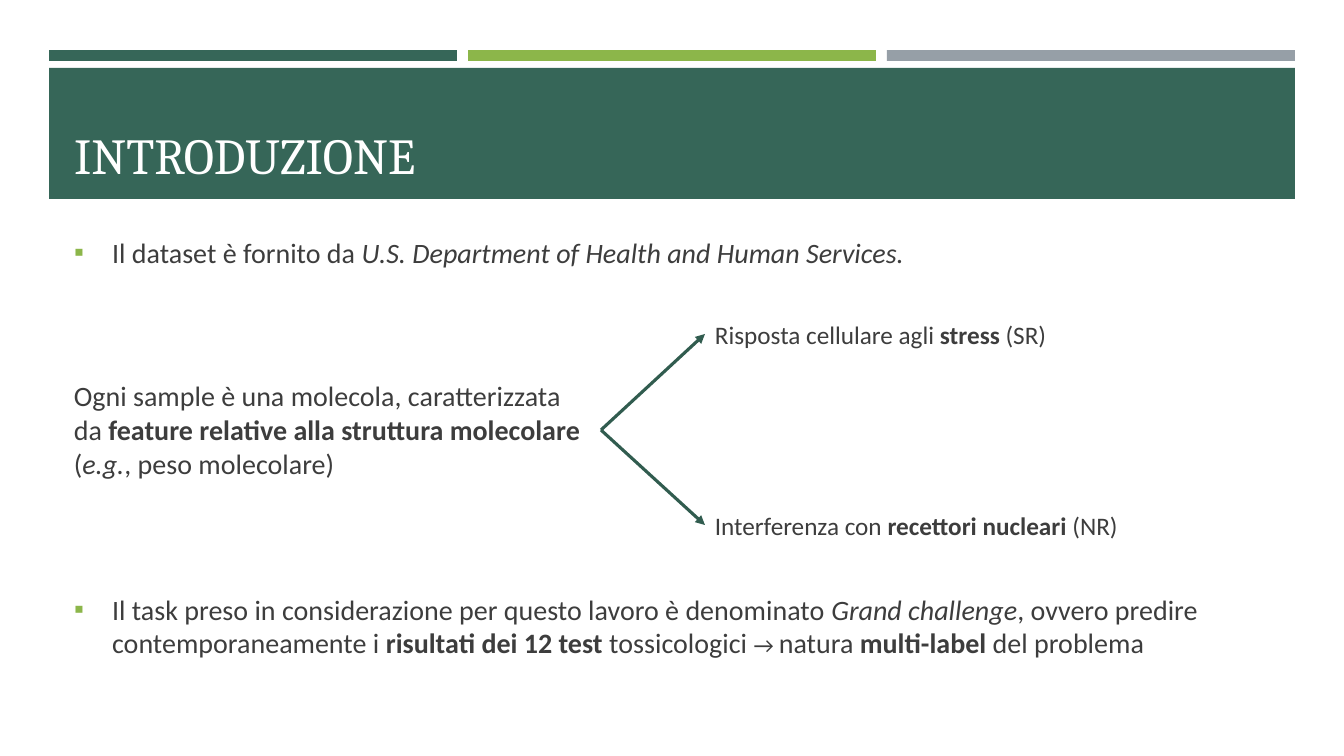
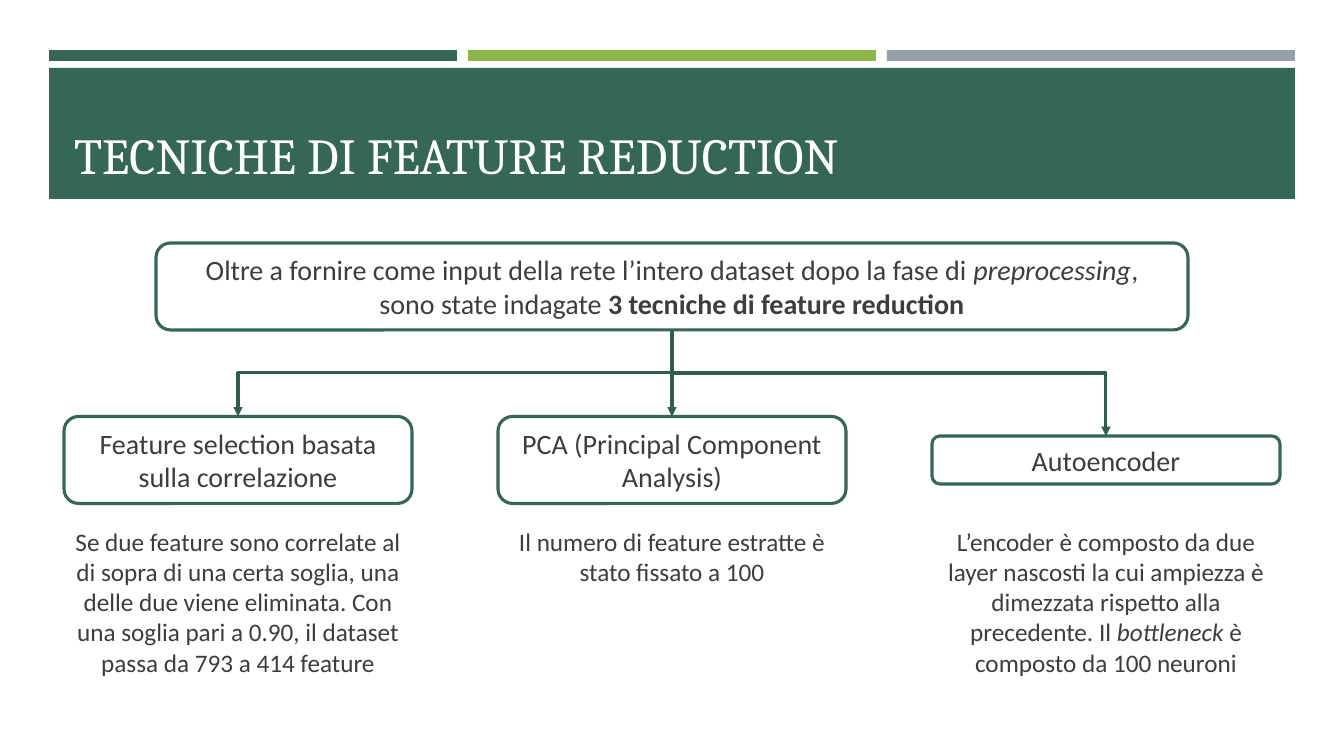
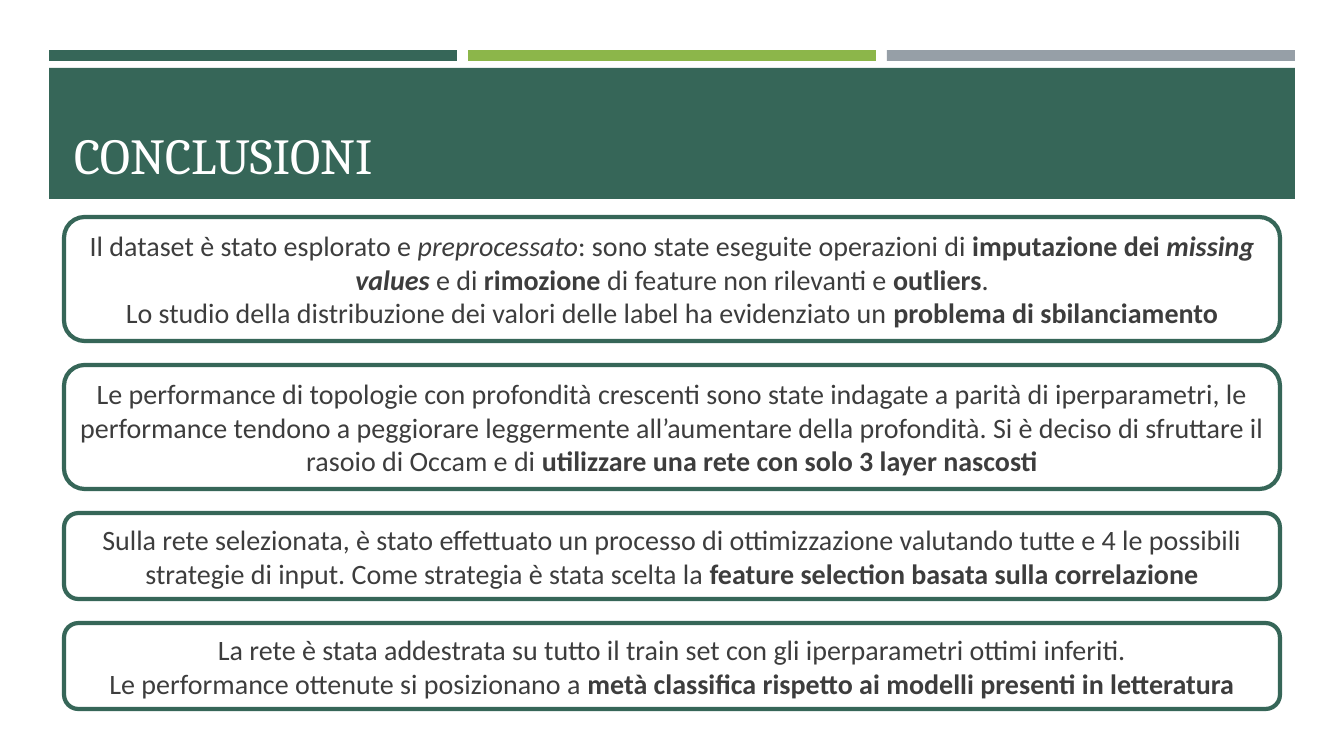
"""Build three slides on toxicity prediction: introduction, feature reduction, conclusions."""
from lxml.etree import SubElement
from pptx import Presentation
from pptx.dml.color import RGBColor
from pptx.enum.shapes import MSO_CONNECTOR as Link, MSO_SHAPE as Form
from pptx.enum.text import MSO_ANCHOR as Anchor, MSO_AUTO_SIZE as Fit, PP_ALIGN as Align
from pptx.oxml.ns import qn
from pptx.util import Pt

SCALE = 914400 / 100.8
COLORS = {"green": "366658", "lime": "8CB64A", "grey": "969FA7",
          "arrow": "315C4F", "text": "3D3D3D", "white": "FFFFFF"}
BODY_FONT, TITLE_FONT = "Calibri", "Cambria"
LEFT, WIDTH = 64, 1216
TOP, BOTTOM, WEST, EAST = 0, 2, 1, 3

TITLES = ["INTRODUZIONE", "TECNICHE DI FEATURE REDUCTION", "CONCLUSIONI"]

POINTS = [
    (230, 44, [["Il dataset è fornito da ",
                ("U.S. Department of Health and Human Services.", "i")]]),
    (587, 78, [["Il task preso in considerazione per questo lavoro è denominato ",
                ("Grand challenge", "i"), ", ovvero predire contemporaneamente i ",
                ("risultati dei 12 test", "b"), " tossicologici ", ("→ ", "", 16),
                "natura ", ("multi-label", "b"), " del problema"]]),
]
SAMPLE = [["Ogni sample è una molecola, caratterizzata da ",
           ("feature relative alla struttura molecolare ", "b"),
           "(", ("e.g.", "i"), ", peso molecolare)"]]
TESTS = [
    (314, [["Risposta cellulare agli ", ("stress", "b"), " (SR)"]]),
    (505, [["Interferenza con ", ("recettori nucleari", "b"), " (NR)"]]),
]

PREMISE = [["Oltre a fornire come input della rete l’intero dataset dopo la fase di ",
            ("preprocessing", "i"), ","],
           ["sono state indagate ", ("3 tecniche di feature reduction", "b")]]
TECHNIQUES = [
    ("Feature selection basata sulla correlazione", 87, 163,
     ["Se due feature sono correlate al di sopra di una certa soglia, una delle due viene "
      "eliminata. Con una soglia pari a 0.90, il dataset passa da 793 a 414 feature"]),
    ("PCA (Principal Component Analysis)", 87, 72,
     ["Il numero di feature estratte è stato fissato a 100"]),
    ("Autoencoder", 48, 163,
     ["L’encoder è composto da due layer nascosti la cui ampiezza è dimezzata rispetto "
      "alla precedente. Il ", ("bottleneck", "i"), " è composto da 100 neuroni"]),
]

CONCLUSIONS = [
    (124, [["Il dataset è stato esplorato e ", ("preprocessato", "i"),
            ": sono state eseguite operazioni di ", ("imputazione dei ", "b"),
            ("missing values", "bi"), " e di ", ("rimozione", "b"),
            " di feature non rilevanti e ", ("outliers", "b"), "."],
           ["Lo studio della distribuzione dei valori delle label ha evidenziato un ",
            ("problema di sbilanciamento", "b")]]),
    (124, [["Le performance di topologie con profondità crescenti sono state indagate a parità "
            "di iperparametri, le performance tendono a peggiorare leggermente all’aumentare "
            "della profondità. Si è deciso di sfruttare il rasoio di Occam e di ",
            ("utilizzare una rete con solo 3 layer nascosti", "b")]]),
    (86, [["Sulla rete selezionata, è stato effettuato un processo di ottimizzazione valutando "
           "tutte e 4 le possibili strategie di input. Come strategia è stata scelta la ",
           ("feature selection basata sulla correlazione", "b")]]),
    (86, [["La rete è stata addestrata su tutto il train set con gli iperparametri ottimi "
           "inferiti."],
          ["Le performance ottenute si posizionano a ",
           ("metà classifica rispetto ai modelli presenti in letteratura", "b")]]),
]


def px(length):
    return round(length * SCALE)


def rgb(name):
    return RGBColor.from_string(COLORS[name])


def place(part, left, top, width, height):
    part.left, part.top, part.width, part.height = map(px, (left, top, width, height))


def write(part, paragraphs, size=20, font=BODY_FONT, color="text",
          align=Align.LEFT, anchor=Anchor.TOP, bullet=None):
    frame = part.text_frame
    frame.word_wrap, frame.auto_size, frame.vertical_anchor = True, Fit.NONE, anchor
    for index, pieces in enumerate(paragraphs):
        line = frame.add_paragraph() if index else frame.paragraphs[0]
        line.alignment, line.space_before = align, Pt(0)
        if bullet:
            props = line._p.get_or_add_pPr()
            props.set("marL", str(px(38)))
            props.set("indent", str(px(-38)))
            tint = SubElement(props, qn("a:buClr"))
            SubElement(tint, qn("a:srgbClr")).set("val", COLORS["lime"])
            SubElement(props, qn("a:buChar")).set("char", bullet)
        for piece in pieces:
            words, style, own_size = ((piece,) if isinstance(piece, str) else piece) \
                + ("", size)[-(3 - (1 if isinstance(piece, str) else len(piece))) or 2:]
            run = line.add_run()
            run.text = words
            run.font.name, run.font.size = font, Pt(own_size)
            run.font.color.rgb = rgb(color)
            run.font.bold, run.font.italic = "b" in style, "i" in style


def label(slide, box, paragraphs, **style):
    part = slide.shapes.add_textbox(*map(px, box))
    write(part, paragraphs, **style)
    return part


def panel(slide, form, box, fill=None, border=None, weight=2.25):
    part = slide.shapes.add_shape(form, *map(px, box))
    part.shadow.inherit = False
    if fill:
        part.fill.solid()
        part.fill.fore_color.rgb = rgb(fill)
    else:
        part.fill.background()
    if border:
        part.line.color.rgb = rgb(border)
        part.line.width = Pt(weight)
    else:
        part.line.fill.background()
    return part


def card(slide, box, paragraphs, fill=None, weight=2.25):
    part = panel(slide, Form.ROUNDED_RECTANGLE, box, fill, "green", weight)
    write(part, paragraphs, align=Align.CENTER, anchor=Anchor.MIDDLE)
    return part


def arrow(slide, source, source_side, target, target_side, kind=Link.STRAIGHT):
    link = slide.shapes.add_connector(kind, 0, 0, 0, 0)
    link.begin_connect(source, source_side)
    link.end_connect(target, target_side)
    link.line.color.rgb = rgb("arrow")
    link.line.width = Pt(2.25)
    props = link._element.spPr
    SubElement(props.find(qn("a:ln")), qn("a:tailEnd")).set("type", "triangle")
    SubElement(props, qn("a:effectLst"))
    return link


def branch(slide, source, target, drop):
    link = arrow(slide, source, BOTTOM, target, TOP, Link.ELBOW)
    start_x, start_y, end_x, end_y = link.begin_x, link.begin_y, link.end_x, link.end_y
    across, down = abs(end_x - start_x), end_y - start_y
    link.left = (start_x + end_x - down) // 2
    link.top = (start_y + end_y - across) // 2
    link.width, link.height = down, across
    props = link._element.spPr
    rightward = end_x > start_x
    props.xfrm.rot = 270.0 if rightward else 90.0
    props.xfrm.flipH, props.xfrm.flipV = rightward, False
    props.prstGeom.rewrite_guides([("adj1", round(px(drop) / down * 100000))])


def add_bands(deck, slide):
    bands = [panel(slide, Form.RECTANGLE, (49 + 419 * index, 50, 408, 11), color)
             for index, color in enumerate(("green", "lime", "grey"))]
    bands.append(panel(slide, Form.RECTANGLE, (49, 68, 1246, 131), "green"))
    tree = deck.slide_master.shapes.element
    for offset, band in enumerate(bands):
        tree.insert(2 + offset, band.element)


def add_slide(deck, layout, title):
    slide = deck.slides.add_slide(deck.slide_layouts[layout])
    place(slide.shapes.title, LEFT, 78, WIDTH, 112)
    write(slide.shapes.title, [[title]], size=36, font=TITLE_FONT, color="white",
          anchor=Anchor.BOTTOM)
    return slide


def fill_introduction(slide):
    for index, (top, height, paragraphs) in enumerate(POINTS, 1):
        point = slide.placeholders[index]
        place(point, LEFT, top, WIDTH, height)
        write(point, paragraphs, bullet="▪")
    sample = label(slide, (LEFT, 374, 537, 112), SAMPLE)
    for top, paragraphs in TESTS:
        test = label(slide, (705, top, 443, 40), paragraphs, size=18)
        arrow(slide, sample, EAST, test, WEST)


def fill_techniques(slide):
    premise = card(slide, (156, 243, 1032, 87), PREMISE, "white")
    width, middle = 348, 460
    step = (WIDTH - width) / (len(TECHNIQUES) - 1)
    for index, (name, height, detail_height, detail) in enumerate(TECHNIQUES):
        left = LEFT + index * step
        technique = card(slide, (left, middle - height / 2, width, height), [[name]], "white")
        label(slide, (left, 521, width, detail_height), [detail], size=18, align=Align.CENTER)
        if index == 1:
            arrow(slide, premise, BOTTOM, technique, TOP)
        else:
            branch(slide, premise, technique, 43)


def fill_conclusions(slide):
    top, gap = 217, 24
    for height, paragraphs in CONCLUSIONS:
        card(slide, (LEFT, top, WIDTH, height), paragraphs, weight=3)
        top += height + gap


def main():
    deck = Presentation()
    deck.slide_width, deck.slide_height = px(1344), px(756)
    two_bodies, title_only = 3, 5
    introduction, techniques, conclusions = (
        add_slide(deck, layout, title)
        for layout, title in zip((two_bodies, title_only, title_only), TITLES))
    add_bands(deck, introduction)
    fill_introduction(introduction)
    fill_techniques(techniques)
    fill_conclusions(conclusions)
    deck.save("out.pptx")


if __name__ == "__main__":
    main()
